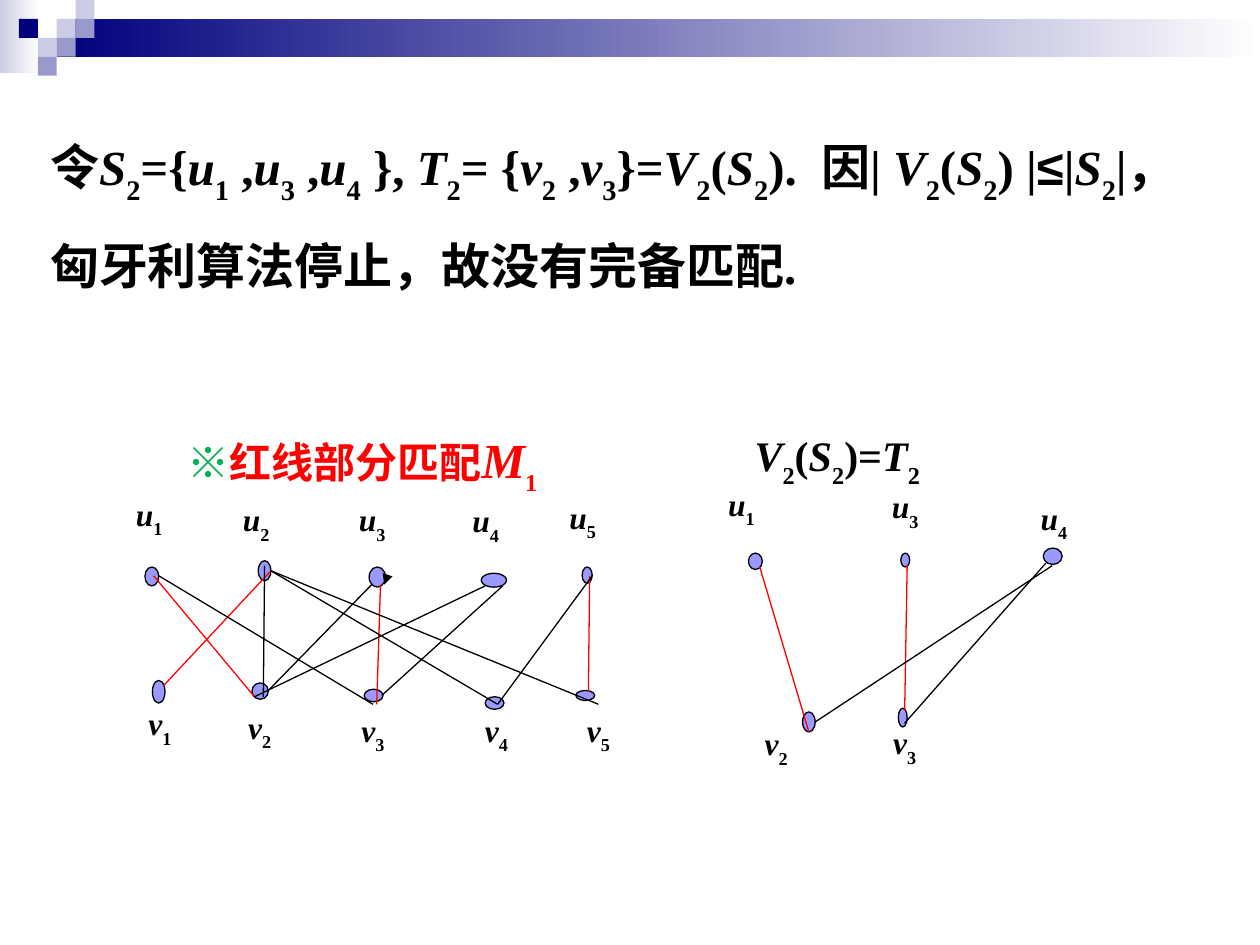
from itertools import groupby

from lxml.etree import SubElement
from pptx import Presentation
from pptx.dml.color import RGBColor
from pptx.enum.shapes import MSO_CONNECTOR, MSO_SHAPE
from pptx.oxml.ns import qn
from pptx.util import Inches, Pt

THEME = {
    "navy": "00007D", "lilac": "CCCCE6", "violet": "9999CC", "white": "FFFFFF",
    "ink": "000000", "match": "FF0000", "mark": "00B050", "node": "9999FF",
    "math": "Times New Roman", "sans": "Arial",
    "body": 28, "caption": 24, "label": 18, "line": 0.75,
}

ARGUMENT = "令S2={u1 ,u3 ,u4 }, T2= {v2 ,v3}=V2(S2).  因| V2(S2) |≤|S2|，匈牙利算法停止，故没有完备匹配."
# text, size, colour
MATCHING_CAPTION = [("※", "caption", "mark"), ("红线部分匹配", "caption", "match"),
                    ("M", "body", "match"), ("1", "caption", "match")]
NEIGHBOUR_CAPTION = "V2(S2)=T2"

# left, top, width, height, start colour
BANDS = [(0, 0, 0.31, 0.58, "lilac"), (0.45, 0.15, 9.55, 0.3, "navy")]
TILE = 0.15
# column, row, colour
TILES = [(3, 1, "lilac"), (4, 0, "lilac"), (4, 1, "violet"), (2, 2, "lilac"),
         (1, 1, "navy"), (3, 2, "violet"), (2, 3, "violet")]

# name, node (left, top, width, height), label (left, top)
FULL_GRAPH = [
    ("u1", (1.15, 4.5, 0.11, 0.15), (0.98, 3.88)),
    ("u2", (2.05, 4.45, 0.1, 0.16), (1.83, 3.92)),
    ("u3", (2.93, 4.5, 0.13, 0.16), (2.75, 3.92)),
    ("u4", (3.82, 4.55, 0.2, 0.11), (3.65, 3.93)),
    ("u5", (4.62, 4.5, 0.08, 0.13), (4.42, 3.9)),
    ("v1", (1.21, 5.4, 0.1, 0.18), (1.08, 5.54)),
    ("v2", (2, 5.42, 0.13, 0.13), (1.87, 5.57)),
    ("v3", (2.89, 5.47, 0.15, 0.1), (2.77, 5.59)),
    ("v4", (3.85, 5.53, 0.15, 0.1), (3.75, 5.59)),
    ("v5", (4.57, 5.48, 0.15, 0.08), (4.56, 5.59)),
]
SUBGRAPH = [
    ("u1", (5.94, 4.39, 0.11, 0.13), (5.68, 3.8)),
    ("u3", (7.15, 4.39, 0.07, 0.11), (6.98, 3.82)),
    ("u4", (8.28, 4.35, 0.15, 0.13), (8.16, 3.91)),
    ("v2", (6.37, 5.65, 0.1, 0.16), (5.97, 5.7)),
    ("v3", (7.13, 5.62, 0.07, 0.15), (6.99, 5.69)),
]
LABEL_SIZE = (0.42, 0.46)

# start x, start y, end x, end y
EDGES = {
    "match": [
        (1.22, 4.57, 2.02, 5.53), (2.15, 4.53, 1.3, 5.44), (3.02, 4.64, 2.99, 5.59),
        (4.68, 4.57, 4.67, 5.49), (6.03, 4.5, 6.42, 5.81), (7.2, 4.48, 7.18, 5.64),
    ],
    "ink": [
        (2.1, 4.49, 2.09, 5.53), (1.26, 4.57, 2.96, 5.59), (2.95, 4.64, 2.13, 5.48),
        (3.85, 4.65, 2.02, 5.53), (3.99, 4.65, 3.03, 5.52), (4.7, 4.57, 3.95, 5.59),
        (2.15, 4.53, 4.75, 5.59), (2.15, 4.53, 3.95, 5.59), (8.35, 4.49, 6.47, 5.73),
        (8.3, 4.47, 7.18, 5.74),
    ],
}
ARROW = (3.07, 4.58, 3.05, 4.64)


def colour(key):
    return RGBColor.from_string(THEME[key])


def char_style(char):
    """Variables are italic, digits are subscripts, the rest is upright."""
    if char.isdigit():
        return "subscript"
    if char.isascii():
        return "variable" if char.isalpha() else "upright"
    return "sans"


def add_math(paragraph, text, size, tint="ink"):
    for style, chars in groupby(text, char_style):
        run = paragraph.add_run()
        run.text = "".join(chars)
        font = run.font
        font.name = THEME["sans" if style == "sans" else "math"]
        font.size = Pt(THEME[size])
        font.bold = True
        font.italic = style == "variable"
        font.color.rgb = colour(tint)
        if style == "subscript":
            run._r.get_or_add_rPr().set("baseline", "-30000")


def add_text(slide, box, pieces):
    frame = slide.shapes.add_textbox(*map(Inches, box)).text_frame
    frame.word_wrap = True
    paragraph = frame.paragraphs[0]
    for piece in pieces:
        add_math(paragraph, *piece)
    return paragraph


def add_plain_shape(slide, kind, box):
    shape = slide.shapes.add_shape(kind, *map(Inches, box))
    shape.shadow.inherit = False
    shape.line.fill.background()
    return shape


def add_header(slide):
    for *box, start in BANDS:
        fill = add_plain_shape(slide, MSO_SHAPE.RECTANGLE, box).fill
        fill.gradient()
        fill.gradient_angle = 0
        for stop, key, position in zip(fill.gradient_stops, (start, "white"), (0, 1)):
            stop.color.rgb = colour(key)
            stop.position = position
    for column, row, key in TILES:
        box = (column * TILE, row * TILE, TILE, TILE)
        fill = add_plain_shape(slide, MSO_SHAPE.RECTANGLE, box).fill
        fill.solid()
        fill.fore_color.rgb = colour(key)


def add_edge(slide, ends, key):
    edge = slide.shapes.add_connector(MSO_CONNECTOR.STRAIGHT, *map(Inches, ends))
    edge.line.color.rgb = colour(key)
    edge.line.width = Pt(THEME["line"])
    SubElement(edge._element.spPr, qn("a:effectLst"))
    return edge


def add_vertex(slide, name, node_box, label_at):
    node = add_plain_shape(slide, MSO_SHAPE.OVAL, node_box)
    node.fill.solid()
    node.fill.fore_color.rgb = colour("node")
    node.line.color.rgb = colour("ink")
    node.line.width = Pt(THEME["line"])
    add_text(slide, label_at + LABEL_SIZE, [(name, "label")])


def main():
    presentation = Presentation()
    presentation.slide_width, presentation.slide_height = Inches(10), Inches(7.5)
    slide = presentation.slides.add_slide(presentation.slide_layouts[6])

    add_header(slide)
    argument = add_text(slide, (0.3, 0.76, 9.26, 1.97), [(ARGUMENT, "body")])
    argument.line_spacing = 1.5
    add_text(slide, (1.39, 3.36, 3, 0.63), MATCHING_CAPTION)
    add_text(slide, (5.89, 3.36, 1.6, 0.57), [(NEIGHBOUR_CAPTION, "caption")])

    for vertex in FULL_GRAPH + SUBGRAPH:
        add_vertex(slide, *vertex)
    for key, edges in EDGES.items():
        for ends in edges:
            add_edge(slide, ends, key)
    arrow = add_edge(slide, ARROW, "ink")
    SubElement(arrow.line._get_or_add_ln(), qn("a:tailEnd"), type="triangle")

    presentation.save("out.pptx")


if __name__ == "__main__":
    main()
